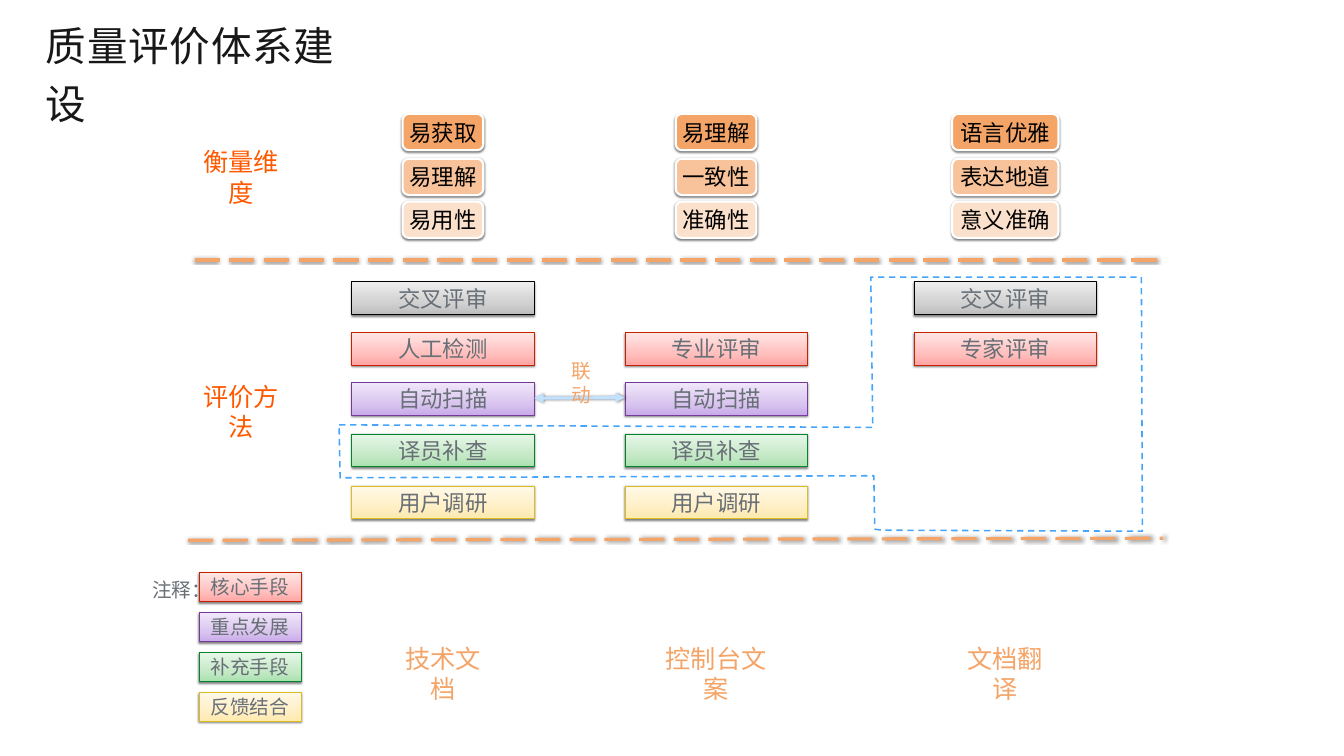
from copy import deepcopy
from dataclasses import dataclass

from lxml import etree
from pptx import Presentation
from pptx.dml.color import RGBColor
from pptx.enum.dml import MSO_LINE
from pptx.enum.shapes import MSO_CONNECTOR, MSO_SHAPE
from pptx.enum.text import MSO_ANCHOR, MSO_AUTO_SIZE, PP_ALIGN
from pptx.oxml.ns import qn
from pptx.util import Inches, Pt

RECT, ROUNDED = MSO_SHAPE.RECTANGLE, MSO_SHAPE.ROUNDED_RECTANGLE
DASH, LONG_DASH = MSO_LINE.DASH, MSO_LINE.LONG_DASH
CENTER, LEFT = PP_ALIGN.CENTER, PP_ALIGN.LEFT

FONT = "Noto Sans CJK JP"
ORANGE, HEADING, GREY = "F4A467", "FF5900", "686F76"
BOX_SHADOW = (3, 2, 90)
LINE_SHADOW = (4, 1, 0)


@dataclass(frozen=True)
class Category:
    stops: tuple[str, str, str]
    outline: str


@dataclass(frozen=True)
class Column:
    name: str
    center: float
    name_width: float
    dimension_width: float
    dimensions: tuple[str, ...]
    methods: tuple[str, ...]


CROSS = Category(("BDBDBD", "D1D1D1", "EEEEEE"), "000000")
CORE = Category(("FFA5A3", "FFC0BE", "FFE7E6"), "C82101")
FOCUS = Category(("CAABEA", "D9C5EF", "F1E8FA"), "753B9A")
EXTRA = Category(("AAE1AF", "C5E9C7", "E8F7E9"), "00852A")
FEEDBACK = Category(("FFE9AD", "FFEFC5", "FFF9E9"), "DCBC1E")

METHOD_ROWS = ((5.59, CROSS), (6.59, CORE), (7.58, FOCUS), (8.61, EXTRA), (9.64, FEEDBACK))
DIMENSION_ROWS = ((2.26, ORANGE), (3.15, "F8C39A"), (4.0, "FBE1CC"))
COLUMNS = (
    Column("技术文档", 8.79, 2.1, 1.6, ("易获取", "易理解", "易用性"),
           ("交叉评审", "人工检测", "自动扫描", "译员补查", "用户调研")),
    Column("控制台文案", 14.21, 2.59, 1.6, ("易理解", "一致性", "准确性"),
           ("", "专业评审", "自动扫描", "译员补查", "用户调研")),
    Column("文档翻译", 19.95, 2.1, 2.11, ("语言优雅", "表达地道", "意义准确"),
           ("交叉评审", "专家评审")),
)
LEGEND = (("核心手段", CORE), ("重点发展", FOCUS), ("补充手段", EXTRA), ("反馈结合", FEEDBACK))
TRANSLATION_SCOPE = (
    (6.73, 8.43), (17.32, 8.48), (17.28, 5.5), (22.65, 5.5), (22.67, 10.54),
    (17.5, 10.52), (17.36, 10.5), (17.34, 9.44), (6.75, 9.48),
)


def rgb(color: str) -> RGBColor:
    return RGBColor.from_string(color)


def write(shape, text: str, *, size: float, color: str, align=CENTER,
          line_spacing: float | None = None, tracking: float = 0) -> None:
    frame = shape.text_frame
    frame.auto_size = MSO_AUTO_SIZE.NONE
    frame.word_wrap = True
    frame.vertical_anchor = MSO_ANCHOR.MIDDLE
    frame.margin_left = frame.margin_right = Inches(0.06)
    frame.margin_top = frame.margin_bottom = Inches(0.06)
    paragraph = frame.paragraphs[0]
    paragraph.alignment = align
    if line_spacing:
        paragraph.line_spacing = line_spacing
    run = paragraph.add_run()
    run.text = text
    run.font.size = Pt(size)
    run.font.color.rgb = rgb(color)
    run.font.name = FONT
    properties = run.font._element
    etree.SubElement(properties, qn("a:ea"), typeface=FONT)
    if tracking:
        properties.set("spc", str(round(tracking * 100)))


def add_shadow(shape, blur: float, distance: float, angle: int) -> None:
    """Call after fill and line are set: effects come last in the properties."""
    effects = etree.SubElement(shape._element.spPr, qn("a:effectLst"))
    outer = etree.SubElement(
        effects, qn("a:outerShdw"), blurRad=str(Pt(blur)), dist=str(Pt(distance)),
        dir=str(angle * 60000), rotWithShape="0")
    shade = etree.SubElement(outer, qn("a:srgbClr"), val="000000")
    etree.SubElement(shade, qn("a:alpha"), val="50000")


def add_gradient(shape, colors: tuple[str, str, str]) -> None:
    fill = shape.fill
    fill.gradient()
    fill.gradient_angle = 90
    stop_list = shape._element.spPr.find(".//" + qn("a:gsLst"))
    stop_list.insert(1, deepcopy(stop_list[0]))
    for stop, color, position in zip(fill.gradient_stops, colors, (0, 0.35, 1)):
        stop.color.rgb = rgb(color)
        stop.position = position


def add_label(slide, text: str, left: float, top: float, width: float,
              height: float = 0.72, *, size: float = 36, color: str = ORANGE) -> None:
    box = slide.shapes.add_textbox(Inches(left), Inches(top), Inches(width), Inches(height))
    write(box, text, size=size, color=color)


def add_category_box(slide, text: str, category: Category, left: float, top: float,
                     width: float, height: float, size: float) -> None:
    box = slide.shapes.add_shape(RECT, Inches(left), Inches(top), Inches(width), Inches(height))
    add_gradient(box, category.stops)
    box.line.color.rgb = rgb(category.outline)
    box.line.width = Pt(0.75)
    add_shadow(box, *BOX_SHADOW)
    write(box, text, size=size, color=GREY)


def add_dimension(slide, text: str, color: str, left: float, top: float, width: float) -> None:
    box = slide.shapes.add_shape(ROUNDED, Inches(left), Inches(top), Inches(width), Inches(0.72))
    box.fill.solid()
    box.fill.fore_color.rgb = rgb(color)
    box.line.color.rgb = rgb("FFFFFF")
    box.line.width = Pt(3)
    add_shadow(box, *BOX_SHADOW)
    write(box, text, size=32, color="000000")


def add_line(slide, start: tuple[float, float], end: tuple[float, float], color: str,
             *, dash=None, arrows: bool = False) -> None:
    connector = slide.shapes.add_connector(
        MSO_CONNECTOR.STRAIGHT, *(Inches(value) for value in start + end))
    connector.line.color.rgb = rgb(color)
    connector.line.width = Pt(4.5)
    if dash:
        connector.line.dash_style = dash
    if arrows:
        outline = connector.line._get_or_add_ln()
        for tag in ("a:headEnd", "a:tailEnd"):
            etree.SubElement(outline, qn(tag), type="triangle")
    add_shadow(connector, *LINE_SHADOW)


def add_translation_scope(slide) -> None:
    first, *rest = [(Inches(x), Inches(y)) for x, y in TRANSLATION_SCOPE]
    builder = slide.shapes.build_freeform(*first)
    builder.add_line_segments(rest, close=True)
    scope = builder.convert_to_shape()
    scope.shadow.inherit = False
    scope.fill.solid()
    scope.fill.fore_color.rgb = rgb("FFFFFF")
    scope.line.color.rgb = rgb("45A4FC")
    scope.line.width = Pt(2.25)
    scope.line.dash_style = DASH


def add_column(slide, column: Column) -> None:
    add_label(slide, column.name, column.center - column.name_width / 2, 13, column.name_width)
    left = column.center - column.dimension_width / 2
    for text, (top, color) in zip(column.dimensions, DIMENSION_ROWS):
        add_dimension(slide, text, color, left, top, column.dimension_width)
    for text, (top, category) in zip(column.methods, METHOD_ROWS):
        if text:
            add_category_box(slide, text, category, column.center - 1.81, top, 3.62, 0.65, 32)


def main() -> None:
    deck = Presentation()
    deck.slide_width, deck.slide_height = Inches(26.67), Inches(15)
    slide = deck.slides.add_slide(deck.slide_layouts[5])

    title = slide.shapes.title
    title.left, title.top = Inches(0.85), Inches(0.74)
    title.width, title.height = Inches(6.65), Inches(1.28)
    write(title, "质量评价体系建设", size=58, color="181818", align=LEFT,
          line_spacing=1.2, tracking=1.2)

    add_translation_scope(slide)
    add_label(slide, "衡量维度", 3.73, 3.15, 2.1, color=HEADING)
    add_label(slide, "评价方法", 3.73, 7.81, 2.1, color=HEADING)
    for column in COLUMNS:
        add_column(slide, column)

    add_line(slide, (3.86, 5.16), (23.08, 5.16), ORANGE, dash=LONG_DASH)
    add_line(slide, (3.73, 10.72), (23.08, 10.68), ORANGE, dash=LONG_DASH)
    add_line(slide, (10.6, 7.9), (12.4, 7.89), "C1E1FE", arrows=True)
    add_label(slide, "联动", 11.1, 7.3, 0.88, 0.58, size=28)

    add_label(slide, "注释：", 2.77, 11.4, 1.27, 0.58, size=28, color=GREY)
    for row, (text, category) in enumerate(LEGEND):
        add_category_box(slide, text, category, 3.95, 11.36 + row * 0.79, 2.02, 0.58, 28)

    deck.save("out.pptx")


if __name__ == "__main__":
    main()
